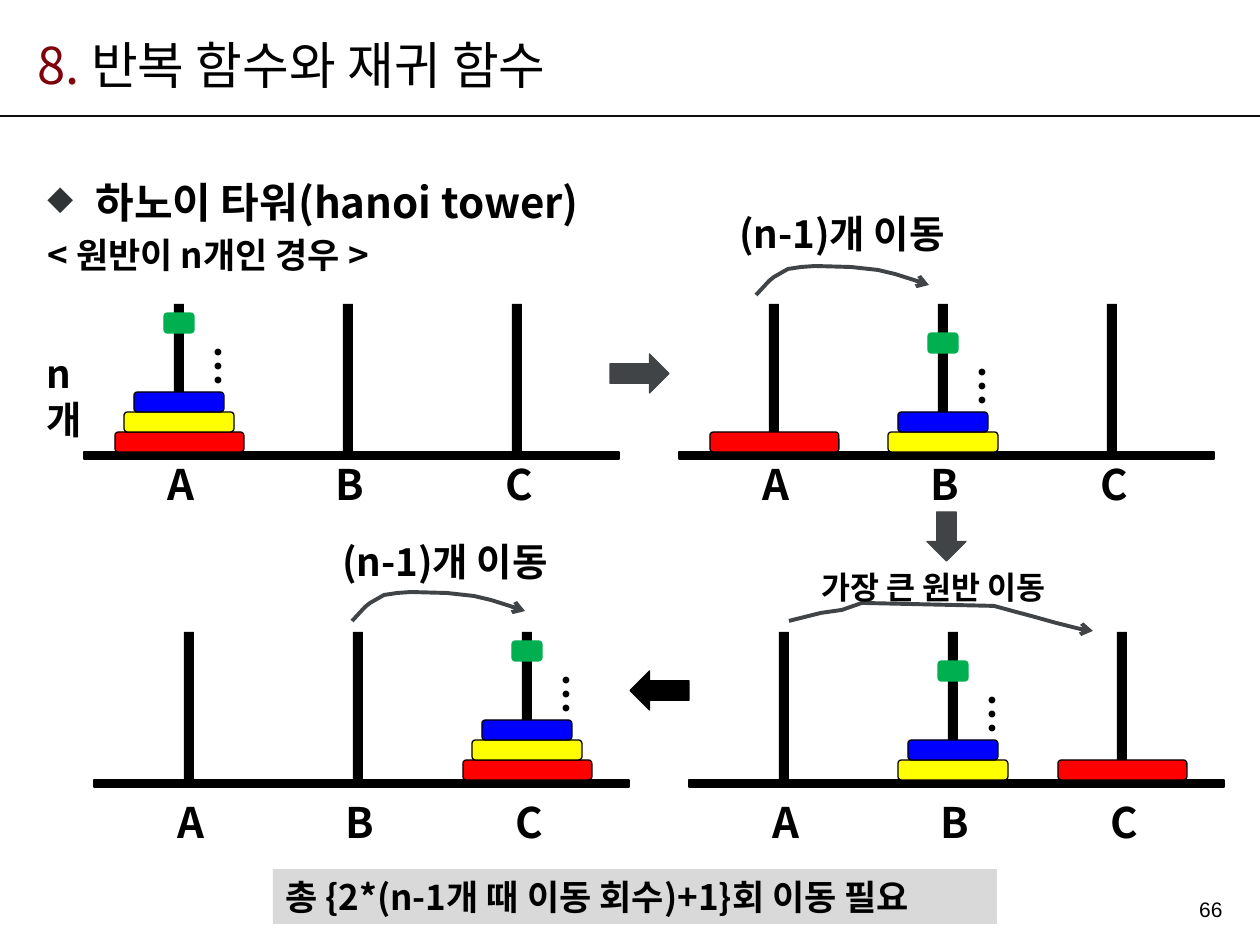
from dataclasses import dataclass

from lxml import etree
from pptx import Presentation
from pptx import util as u
from pptx.dml.color import RGBColor
from pptx.enum import shapes, text
from pptx.oxml.ns import qn

PX = 914400 // 126
KIND = shapes.MSO_SHAPE
ALIGN = text.PP_ALIGN


@dataclass(frozen=True)
class Theme:
    font: str = "Noto Sans CJK KR"
    plain: str = "Arial"
    ink: str = "000000"
    rule: str = "0D0D0D"
    mark: str = "7E040B"
    bullet: str = "313437"
    arrow: str = "404447"
    band: str = "D9D9D9"
    green: str = "00B050"
    title: int = 29
    head: int = 24
    move: int = 22
    body: int = 20
    note: int = 18
    page: int = 12


T = Theme()
# Disc name: colour, width
DISCS = {"big": ("FF0000", 129), "mid": ("FFFF00", 110), "small": ("0000FF", 90)}
STEP = 169   # between pegs
DISC = 20    # disc height
HOP = [(13, -14), (18, -18), (32, -26), (45, -28), (59, -29), (95, -28),
       (122, -25), (139, -21), (158, -15), (173, -10)]
LEAP = [(32, -8), (53, -11), (73, -18), (205, -15), (227, -9), (242, -5),
        (267, 2), (299, 10), (304, 10)]


def rgb(code):
    return RGBColor.from_string(code)


def place(*nums):
    return [u.Emu(n * PX) for n in nums]


def style(par, size, bold=True, name=T.font, color=T.ink):
    font = par.font
    font.size, font.bold, font.name = u.Pt(size), bold, name
    if color:
        font.color.rgb = rgb(color)
    props = par._p.get_or_add_pPr().find(qn("a:defRPr"))
    etree.SubElement(props, qn("a:ea")).set("typeface", name)


def label(slide, words, box, size, align=ALIGN.CENTER, wrap=False, **look):
    item = slide.shapes.add_textbox(*place(*box))
    frame = item.text_frame
    frame.word_wrap = wrap
    par = frame.paragraphs[0]
    par.text, par.alignment = words, align
    style(par, size, **look)
    return item


def block(slide, kind, box, fill, edge=None):
    item = slide.shapes.add_shape(kind, *place(*box))
    item.shadow.inherit = False
    item.fill.solid()
    item.fill.fore_color.rgb = rgb(fill)
    if edge:
        item.line.color.rgb = rgb(edge)
        item.line.width = u.Pt(0.75)
    else:
        item.line.fill.background()
    return item


def curve(slide, x, y, steps):
    pen = slide.shapes.build_freeform(x, y, scale=PX)
    pen.add_line_segments([(x + dx, y + dy) for dx, dy in steps], close=False)
    item = pen.convert_to_shape()
    item.shadow.inherit = False
    item.fill.background()
    item.line.color.rgb = rgb(T.arrow)
    item.line.width = u.Pt(2.25)
    etree.SubElement(item.line._get_or_add_ln(), qn("a:tailEnd")).set("type", "arrow")


def tower(slide, x, y, gap, stacks):
    """Base, three pegs with names, and discs listed from the bottom up."""
    block(slide, KIND.RECTANGLE, (x, y, 535, 7), T.ink, T.ink)
    for i, name in enumerate("ABC"):
        mid = x + 95 + i * STEP
        block(slide, KIND.RECTANGLE, (mid - 5, y - 148, 10, 148), T.ink)
        label(slide, name, (mid - 26, y + gap, 56, 63), T.head)
        top = y
        stack = stacks.get(name, [])
        for disc in stack:
            fill, wide = DISCS[disc]
            top -= DISC
            block(slide, KIND.ROUNDED_RECTANGLE, (mid - wide // 2, top, wide, DISC), fill, T.ink)
        if "small" in stack:
            top -= 79
            block(slide, KIND.ROUNDED_RECTANGLE, (mid - 15, top, 30, DISC), T.green, T.green)
            dots = label(slide, "…", (mid - 5, top + DISC, 77, 54), T.head)
            dots.element.txBody.bodyPr.set("vert", "eaVert")


def header(slide):
    line = slide.shapes.add_connector(shapes.MSO_CONNECTOR.STRAIGHT, *place(0, 116, 1260, 116))
    line.line.color.rgb = rgb(T.rule)
    line.line.width = u.Pt(1.5)
    etree.SubElement(line.element.spPr, qn("a:effectLst"))

    box = slide.shapes.add_textbox(*place(25, 26, 1062, 77))
    frame = box.text_frame
    frame.word_wrap = True
    frame.vertical_anchor = text.MSO_ANCHOR.MIDDLE
    par = frame.paragraphs[0]
    for words, color in (("8. ", T.mark), ("반복 함수와 재귀 함수", T.ink)):
        run = par.add_run()
        run.text = words
        run.font.color.rgb = rgb(color)
    style(par, T.title, bold=False, color=None)


def topic(slide):
    box = slide.shapes.add_textbox(*place(35, 145, 640, 140))
    frame = box.text_frame
    frame.word_wrap = True
    first, second = frame.paragraphs[0], frame.add_paragraph()

    first.text = "하노이 타워(hanoi tower)"
    first.line_spacing = 1.5
    props = first._p.get_or_add_pPr()
    props.set("marL", str(48 * PX))
    props.set("indent", str(-48 * PX))
    tint = etree.SubElement(props, qn("a:buClr"))
    etree.SubElement(tint, qn("a:srgbClr")).set("val", T.bullet)
    etree.SubElement(props, qn("a:buSzPct")).set("val", "80000")
    etree.SubElement(props, qn("a:buChar")).set("char", "◆")
    style(first, T.head)

    second.text = "< 원반이 n개인 경우 >"
    second.space_before = u.Pt(4)
    style(second, T.body)


def main():
    deck = Presentation()
    deck.slide_width, deck.slide_height = place(1260, 945)
    slide = deck.slides.add_slide(deck.slide_layouts[6])
    header(slide)
    topic(slide)

    # Four states, clockwise from the top left
    tower(slide, 84, 452, 0, {"A": ["big", "mid", "small"]})
    tower(slide, 679, 452, 0, {"A": ["big"], "B": ["mid", "small"]})
    tower(slide, 689, 780, 10, {"B": ["mid", "small"], "C": ["big"]})
    tower(slide, 94, 780, 10, {"C": ["big", "mid", "small"]})

    # Moves of the discs
    curve(slide, 756, 295, HOP)
    curve(slide, 352, 621, HOP)
    curve(slide, 789, 621, LEAP)
    for x, y in ((719, 204), (322, 532)):
        label(slide, "(n-1)개 이동", (x, y, 246, 59), T.move)
    label(slide, "가장 큰 원반 이동", (809, 562, 280, 50), T.note, ALIGN.LEFT)
    label(slide, "n개", (34, 344, 62, 115), T.move, ALIGN.LEFT, wrap=True)

    # Arrows from state to state
    block(slide, KIND.RIGHT_ARROW, (610, 354, 59, 39), T.arrow, T.arrow)
    block(slide, KIND.DOWN_ARROW, (927, 512, 39, 49), T.arrow, T.arrow)
    back = block(slide, KIND.RIGHT_ARROW, (630, 671, 59, 39), T.ink, T.ink)
    back.rotation = 180

    # Total and page number
    total = block(slide, KIND.RECTANGLE, (273, 869, 724, 55), T.band)
    frame = total.text_frame
    frame.word_wrap = True
    frame.vertical_anchor = text.MSO_ANCHOR.TOP
    par = frame.paragraphs[0]
    par.text, par.alignment = "총 {2*(n-1개 때 이동 회수)+1}회 이동 필요", ALIGN.LEFT
    style(par, T.body)
    label(slide, "66", (948, 890, 287, 35), T.page, ALIGN.RIGHT, wrap=True,
          bold=False, name=T.plain)

    deck.save("out.pptx")


if __name__ == "__main__":
    main()
